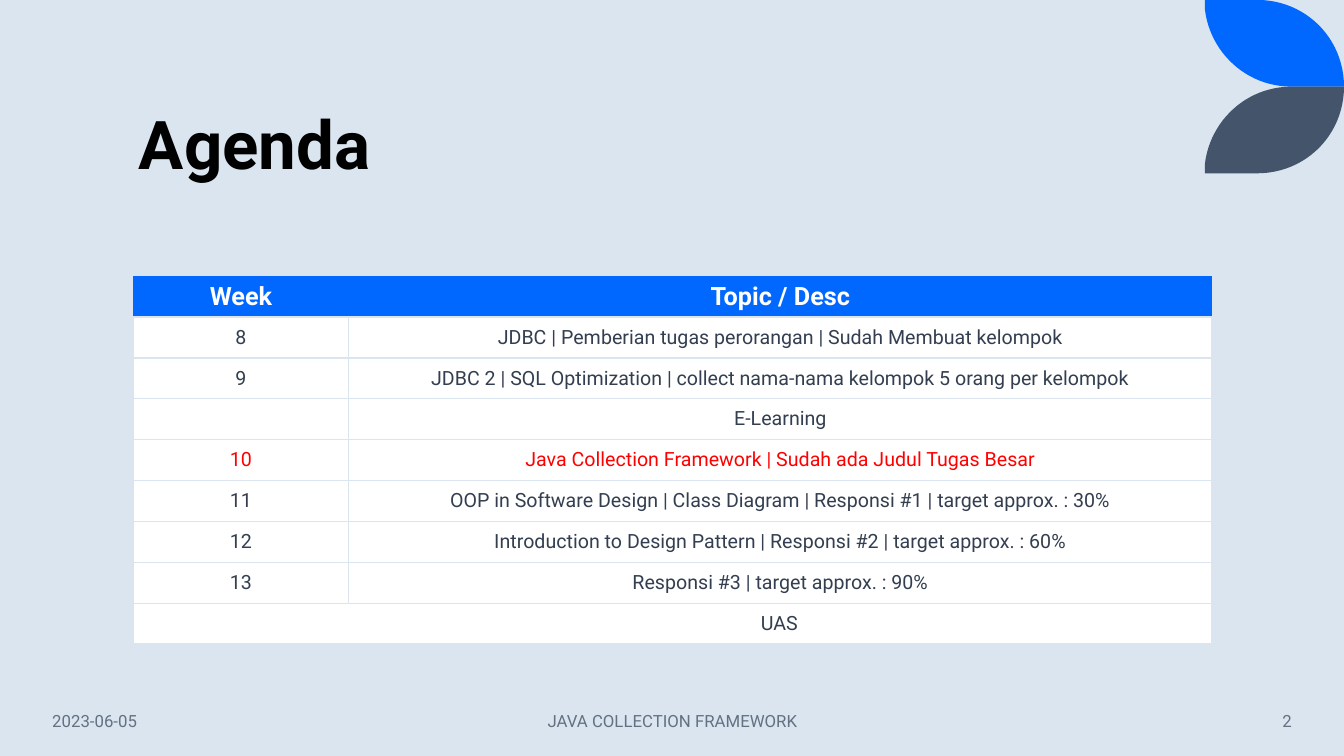
from lxml import etree
from pptx import Presentation
from pptx.dml.color import RGBColor
from pptx.enum.text import MSO_ANCHOR as ANCHOR, PP_ALIGN as ALIGN
from pptx.oxml.ns import qn
from pptx.util import Inches, Pt

COLORS = {"bg": "DAE5EF", "blue": "0068FF", "slate": "44546A", "title": "000000",
          "white": "FFFFFF", "body": "333F50", "now": "FF0000", "footer": "637183"}
FONT = "Roboto"
HEADER = ("Week", "Topic / Desc")
WEEKS = [
    ("8", "JDBC | Pemberian tugas perorangan | Sudah Membuat kelompok"),
    ("9", "JDBC 2 | SQL Optimization | collect nama-nama kelompok 5 orang per kelompok"),
    ("", "E-Learning"),
    ("10", "Java Collection Framework | Sudah ada Judul Tugas Besar"),
    ("11", "OOP in Software Design | Class Diagram | Responsi #1 | target approx. : 30%"),
    ("12", "Introduction to Design Pattern | Responsi #2 | target approx. : 60%"),
    ("13", "Responsi #3 | target approx. : 90%"),
    ("UAS", ""),
]
CURRENT_WEEK = "10"
TABLE_BOX = (1.32, 2.74, 10.7, 3.65)
COL_WIDTHS = (2.14, 8.56)
UAS_INDENT = 2.12
TITLE_STYLE = {"size": Pt(48), "bold": True}
HEADER_STYLE = {"size": Pt(18), "bold": True}
BODY_STYLE = {"size": Pt(14), "bold": False}
FOOTER_STYLE = {"size": Pt(12), "bold": False}
TEXTS = [
    ("Agenda", (1.28, 0.42, 10.69, 1.45), ALIGN.LEFT, ANCHOR.BOTTOM, "title", TITLE_STYLE),
    ("2023-06-05", (0.42, 6.95, 1.86, 0.4), ALIGN.LEFT, ANCHOR.MIDDLE, "footer", FOOTER_STYLE),
    ("JAVA COLLECTION FRAMEWORK", (4.42, 6.95, 4.5, 0.4), ALIGN.CENTER, ANCHOR.MIDDLE,
     "footer", FOOTER_STYLE),
    ("2", (11.1, 6.95, 1.81, 0.4), ALIGN.RIGHT, ANCHOR.MIDDLE, "footer", FOOTER_STYLE),
]
LEAF_HEIGHT = 0.86
LEAF_CURVES = [
    ((12.47, 0), (12.95, 0), (13.33, 0.38), (13.33, 0.86)),
    ((12.81, 0.86), (12.36, 0.86), (12, 0.52), (11.95, 0.09)),
]
LEAF_START = (11.95, 0)
CURVE_STEPS = 24


def rgb(name):
    """Return the named colour."""
    return RGBColor.from_string(COLORS[name])


def write(p, text, align, color, style):
    """Put one formatted run in a paragraph."""
    p.alignment = align
    r = p.add_run()
    r.text = text
    r.font.color.rgb = rgb(color)
    for name, value in {"name": FONT, **style}.items():
        setattr(r.font, name, value)


def add_text(s, text, box, align, anchor, color, style):
    """Add a one-line text box."""
    tf = s.shapes.add_textbox(*map(Inches, box)).text_frame
    tf.word_wrap = True
    tf.vertical_anchor = anchor
    write(tf.paragraphs[0], text, align, color, style)
    if style is TITLE_STYLE:
        tf.paragraphs[0].line_spacing = 0.9


def curve_points(curve):
    """Sample a cubic curve."""
    for i in range(CURVE_STEPS + 1):
        t = i / CURVE_STEPS
        weights = ((1 - t) ** 3, 3 * t * (1 - t) ** 2, 3 * t * t * (1 - t), t ** 3)
        yield tuple(sum(w * pt[axis] for w, pt in zip(weights, curve)) for axis in (0, 1))


def add_leaf(s, color, flipped):
    """Add a corner leaf, mirrored below the first when flipped."""
    points = [LEAF_START] + [pt for curve in LEAF_CURVES for pt in curve_points(curve)]
    if flipped:
        points = [(x, 2 * LEAF_HEIGHT - y) for x, y in points]
    points = [(Inches(x), Inches(y)) for x, y in points]
    builder = s.shapes.build_freeform(*points[0])
    builder.add_line_segments(points[1:], close=True)
    sp = builder.convert_to_shape()
    sp.shadow.inherit = False
    sp.fill.solid()
    sp.fill.fore_color.rgb = rgb(color)
    sp.line.fill.background()


def style_cell(cell, fill, sides):
    """Set a cell's borders, fill and anchor."""
    tc_pr = cell._tc.get_or_add_tcPr()
    for side in "LRTB":
        ln = etree.SubElement(tc_pr, qn(f"a:ln{side}"), w=str(Pt(1)))
        if side in sides:
            paint = etree.SubElement(ln, qn("a:solidFill"))
            etree.SubElement(paint, qn("a:srgbClr"), val=COLORS["bg"])
        else:
            etree.SubElement(ln, qn("a:noFill"))
    cell.fill.solid()
    cell.fill.fore_color.rgb = rgb(fill)
    cell.vertical_anchor = ANCHOR.MIDDLE


def add_agenda(s):
    """Add the table of weeks."""
    rows = [HEADER, *WEEKS]
    table = s.shapes.add_table(len(rows), len(HEADER), *map(Inches, TABLE_BOX)).table
    table.first_row = table.horz_banding = False
    for column, width in zip(table.columns, COL_WIDTHS):
        column.width = Inches(width)
    for i, row in enumerate(rows):
        table.rows[i].height = Inches(TABLE_BOX[3] / len(rows))
        for j, text in enumerate(row):
            cell = table.cell(i, j)
            if i == 0:
                fill, sides, color, style = "blue", "B", "white", HEADER_STYLE
            else:
                fill, sides, style = "white", "LRTB", BODY_STYLE
                color = "now" if row[0] == CURRENT_WEEK else "body"
            style_cell(cell, fill, sides)
            if text:
                write(cell.text_frame.paragraphs[0], text, ALIGN.CENTER, color, style)
    last = table.cell(len(rows) - 1, 0)
    last.merge(table.cell(len(rows) - 1, 1))
    p_pr = last.text_frame.paragraphs[0]._p.get_or_add_pPr()
    p_pr.set("marL", str(Inches(UAS_INDENT)))
    p_pr.set("indent", "0")


def main():
    """Build the agenda slide."""
    prs = Presentation()
    prs.slide_width, prs.slide_height = Inches(13.33), Inches(7.5)
    s = prs.slides.add_slide(prs.slide_layouts[6])
    s.background.fill.solid()
    s.background.fill.fore_color.rgb = rgb("bg")
    add_leaf(s, "blue", False)
    add_leaf(s, "slate", True)
    add_agenda(s)
    for item in TEXTS:
        add_text(s, *item)
    prs.save("out.pptx")


if __name__ == "__main__":
    main()
